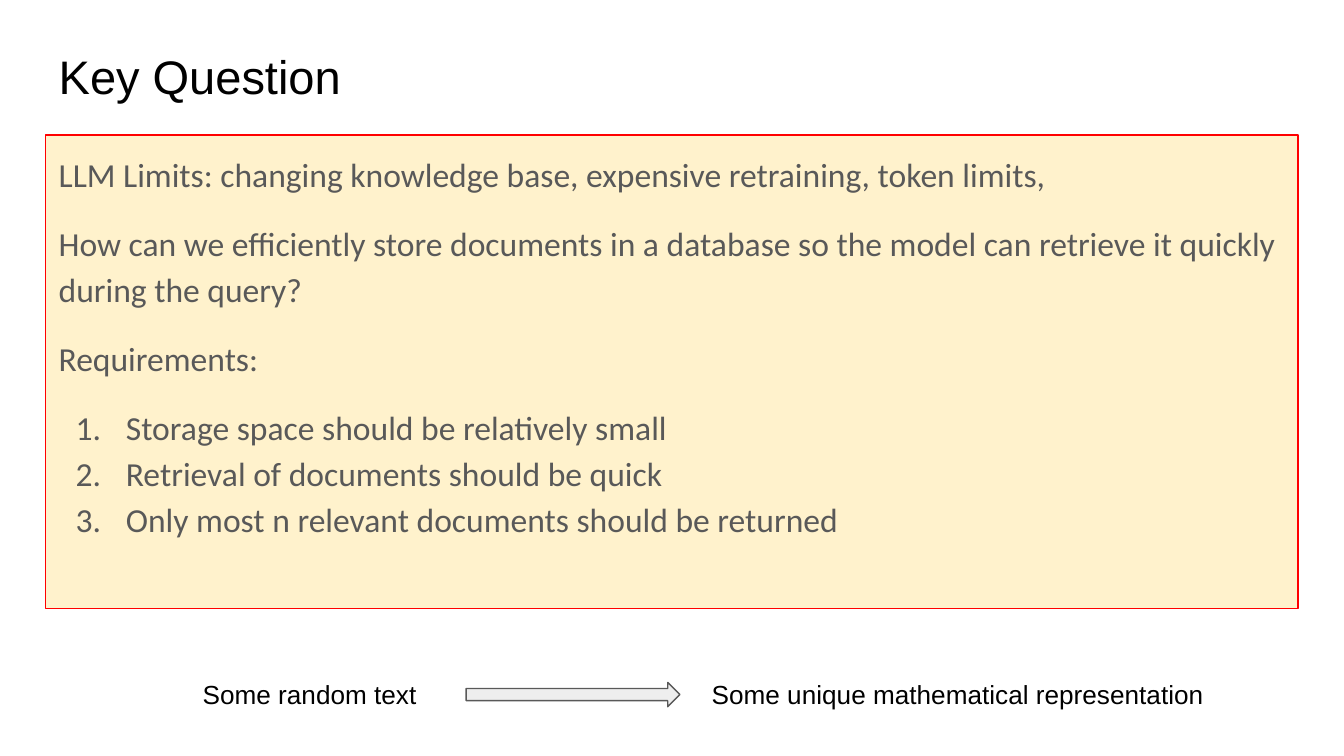
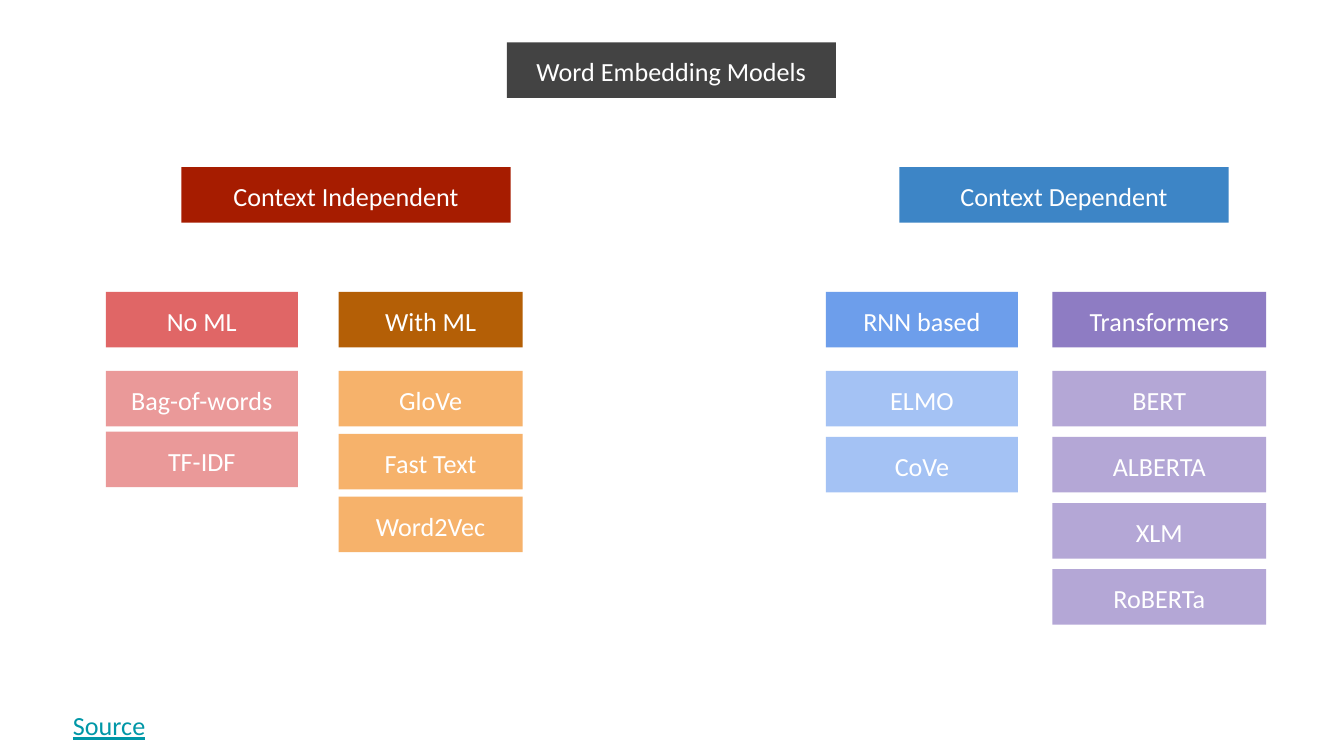
from dataclasses import dataclass

from lxml.etree import SubElement
from pptx import Presentation
from pptx.dml.color import RGBColor
from pptx.enum.shapes import MSO_SHAPE
from pptx.enum.text import MSO_ANCHOR, PP_ALIGN
from pptx.oxml.ns import qn
from pptx.util import Cm, Pt


@dataclass(frozen=True)
class Theme:
    """Colours, fonts and type sizes that the slides share."""
    black: str = "000000"
    white: str = "FFFFFF"
    grey: str = "595959"
    dark: str = "434343"
    pale: str = "EEEEEE"
    cream: str = "FFF2CC"
    alert: str = "FF0000"
    teal: str = "0097A7"
    brick: str = "A61C00"
    blue: str = "3D85C6"
    red: tuple = ("E06666", "EA9999")
    orange: tuple = ("B45F06", "F6B26B")
    sky: tuple = ("6D9EEB", "A4C2F4")
    violet: tuple = ("8E7CC3", "B4A7D6")
    sans: str = "Arial"
    body: str = "Calibri"
    title: float = 25.2
    text: float = 18
    label: float = 14


THEME = Theme()


def style(para, size, face, color):
    """Format every run of a paragraph."""
    for run in para.runs:
        run.font.size = Pt(size)
        run.font.name = face
        run.font.color.rgb = RGBColor.from_string(color)


def frame(shape):
    """Give a shape wrapped, top-anchored text with even margins."""
    area = shape.text_frame
    area.word_wrap = True
    area.vertical_anchor = MSO_ANCHOR.TOP
    area.margin_left = area.margin_right = Cm(0.25)
    area.margin_top = area.margin_bottom = Cm(0.25)
    return area


def block(slide, kind, spot, fill, line=None):
    """Draw a filled preset shape with an optional outline."""
    shape = slide.shapes.add_shape(kind, *map(Cm, spot))
    shape.shadow.inherit = False
    shape.fill.solid()
    shape.fill.fore_color.rgb = RGBColor.from_string(fill)
    if line:
        shape.line.color.rgb = RGBColor.from_string(line)
        shape.line.width = Pt(0.75)
    else:
        shape.line.fill.background()
    return shape


def label(slide, text, spot, size=THEME.label, face=THEME.sans, color=THEME.black):
    """Add a one-line text box and return its paragraph."""
    area = frame(slide.shapes.add_textbox(*map(Cm, spot)))
    area.text = text
    para = area.paragraphs[0]
    style(para, size, face, color)
    return para


def tile(slide, text, spot, fill):
    """Draw a coloured box with a centred white name."""
    area = frame(block(slide, MSO_SHAPE.RECTANGLE, spot, fill))
    area.text = text
    para = area.paragraphs[0]
    para.alignment = PP_ALIGN.CENTER
    style(para, THEME.label, THEME.body, THEME.white)


def number(para):
    """Turn a paragraph into a numbered item with a hanging indent."""
    props = para._p.get_or_add_pPr()
    props.set("marL", str(Cm(1.27)))
    props.set("indent", str(Cm(-0.95)))
    tint = SubElement(props, qn("a:buClr"))
    SubElement(tint, qn("a:srgbClr"), val=THEME.grey)
    SubElement(props, qn("a:buAutoNum"), type="arabicPeriod")


def panel(slide, spot, lines, items):
    """Draw the framed panel of plain lines followed by numbered items."""
    area = frame(block(slide, MSO_SHAPE.RECTANGLE, spot, THEME.cream, THEME.alert))
    area.text = "\n".join(lines + items)
    for index, para in enumerate(area.paragraphs):
        if index >= len(lines):
            number(para)
        para.alignment = PP_ALIGN.LEFT
        para.line_spacing = 1.15
        para.space_before = Pt(12 if 0 < index <= len(lines) else 0)
        style(para, THEME.text, THEME.body, THEME.grey)


def column(slide, left, width, step, tones, head, names):
    """Stack a heading tile and its model tiles at an equal step."""
    high = 1.05
    tile(slide, head, (left, 5.52, width, high), tones[0])
    for row, name in enumerate(names):
        tile(slide, name, (left, 7.01 + row * step, width, high), tones[1])


def question(slide):
    """Build the slide on the key question."""
    label(slide, "Key Question", (0.86, 0.64, 23.67, 1.6), THEME.title)
    panel(slide, (0.86, 2.55, 23.67, 8.95), [
        "LLM Limits: changing knowledge base, expensive retraining, token limits,",
        "How can we efficiently store documents in a database so the model can "
        "retrieve it quickly during the query?",
        "Requirements:",
    ], [
        "Storage space should be relatively small",
        "Retrieval of documents should be quick",
        "Only most n relevant documents should be returned",
    ])
    label(slide, "Some random text", (3.58, 12.57, 4.85, 1.02))
    label(slide, "Some unique mathematical representation", (13.2, 12.57, 10.6, 1.02))
    block(slide, MSO_SHAPE.RIGHT_ARROW, (8.81, 12.9, 4.04, 0.46), THEME.pale, THEME.grey)


def models(slide):
    """Build the slide with the tree of embedding models."""
    for text, left, top, fill in (
        ("Word Embedding Models", 9.58, 0.8, THEME.dark),
        ("Context Independent", 3.43, 3.16, THEME.brick),
        ("Context Dependent", 17, 3.16, THEME.blue),
    ):
        tile(slide, text, (left, top, 6.22, 1.05), fill)
    column(slide, 2, 3.63, 1.15, THEME.red, "No ML", ["Bag-of-words", "TF-IDF"])
    column(slide, 6.4, 3.48, 1.19, THEME.orange, "With ML",
           ["GloVe", "Fast Text", "Word2Vec"])
    column(slide, 15.61, 3.63, 1.25, THEME.sky, "RNN based", ["ELMO", "CoVe"])
    column(slide, 19.89, 4.04, 1.25, THEME.violet, "Transformers",
           ["BERT", "ALBERTA", "XLM", "RoBERTa"])
    para = label(slide, "Source", (0.82, 13.16, 2.49, 0.79),
                 face=THEME.body, color=THEME.teal)
    para.alignment = PP_ALIGN.CENTER
    para.runs[0].font.underline = True


def main():
    """Build both slides and save the deck."""
    deck = Presentation()
    deck.slide_width, deck.slide_height = Cm(25.4), Cm(14.29)
    for build in (question, models):
        build(deck.slides.add_slide(deck.slide_layouts[6]))
    deck.save("out.pptx")


if __name__ == "__main__":
    main()
